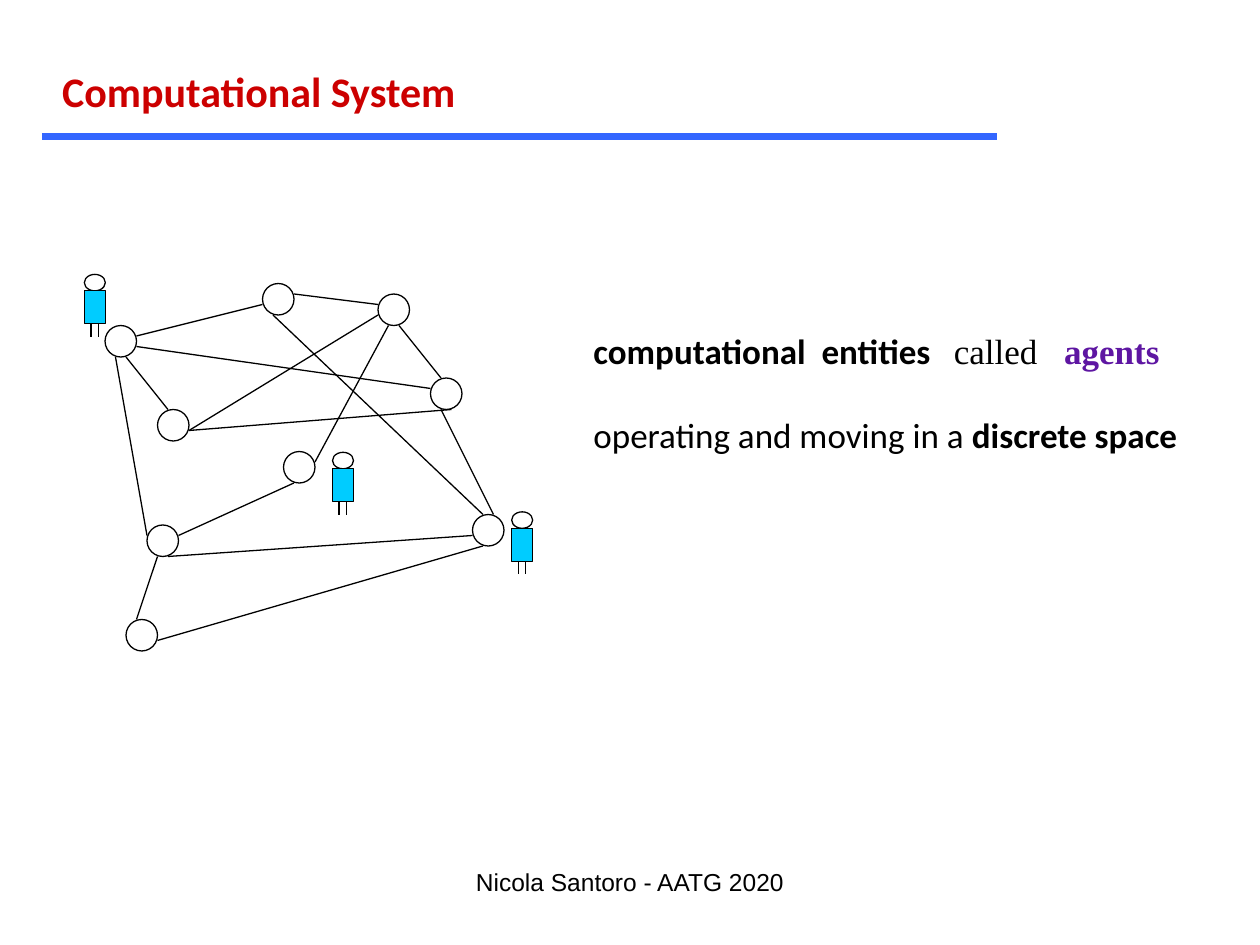
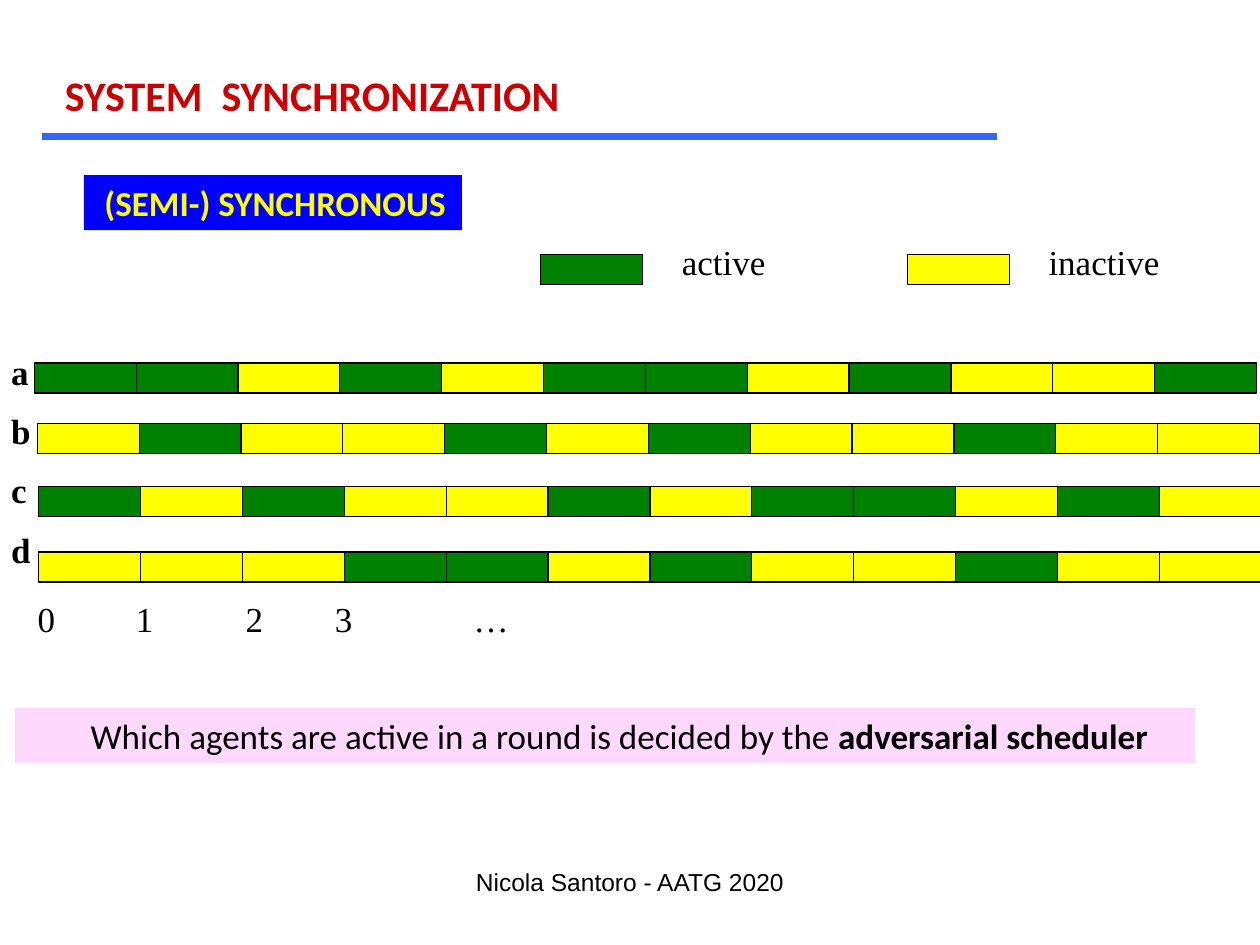
from pptx import Presentation
from pptx.dml.color import RGBColor as RGB
from pptx.enum.shapes import MSO_CONNECTOR as CONN, MSO_SHAPE as SHAPE
from pptx.enum.text import MSO_ANCHOR as ANCHOR, PP_ALIGN as ALIGN
from pptx.oxml.ns import qn
from pptx.util import Pt
from lxml.etree import SubElement

COLORS = {"black": "000000", "red": "CC0000", "rule": "3366FF", "agent": "00CCFF",
          "purple": "5E16A2", "active": "008000", "inactive": "FFFF00",
          "badge": "0000FF", "pink": "FFD8FE"}
SANS, SERIF = "Calibri", "Times New Roman"
UNIT = 6
NODES = [(10, 31), (25, 27), (41, 36), (15, 39), (27, 43), (36, 28), (14, 50), (45, 49), (12, 59)]
EDGES = [(13, 32, 25, 29), (12, 34, 16, 39), (13, 33, 41, 37), (38, 31, 42, 36),
         (26, 30, 46, 49), (17, 51, 28, 46), (11, 34, 14, 51), (18, 41, 36, 30),
         (28, 28, 36, 29), (16, 53, 45, 51), (18, 41, 43, 39), (42, 39, 47, 49),
         (37, 31, 30, 44), (15, 53, 13, 59), (15, 61, 46, 52)]
AGENTS = [(292.4, 292.5), (48.2, 156.8), (190, 258.5)]
CELL_W, CELL_H, CELL_STEP = 58.3, 17.3, 58.2
ROWS = [("a", 19.6, 207.4, "110101101001"), ("b", 21.3, 242, "010010100100"),
        ("c", 22.2, 277.9, "101001011010"), ("d", 22.2, 315.4, "000110100100")]
ROUNDS = [("0", 14.4), ("1", 70.6), ("2", 133.2), ("3", 184.3), ("…", 263.5)]


class Deck:
    """Hold the shared style and draw elements on the current slide."""

    def __init__(self):
        self.prs = Presentation()
        self.prs.slide_width, self.prs.slide_height = Pt(720), Pt(540)

    def slide(self, title, x, y):
        self.s = self.prs.slides.add_slide(self.prs.slide_layouts[6])
        self.text(246, 492, 228, 36, "Nicola Santoro - AATG 2020", 14, "Arial", align=ALIGN.CENTER)
        self.line(24, 78, 570, 78, "rule", 4)
        self.text(x, y, 302, 36, title, 24, SANS, "red", True)

    def line(self, x1, y1, x2, y2, color="black", width=0.75, parent=None):
        c = (parent or self.s).shapes.add_connector(CONN.STRAIGHT, Pt(x1), Pt(y1), Pt(x2), Pt(y2))
        c.line.color.rgb = RGB.from_string(COLORS[color])
        c.line.width = Pt(width)
        SubElement(c._element.spPr, qn("a:effectLst"))

    def shape(self, kind, x, y, w, h, fill=None, outline=True, parent=None):
        sp = (parent or self.s).shapes.add_shape(kind, Pt(x), Pt(y), Pt(w), Pt(h))
        sp.shadow.inherit = False
        if fill:
            sp.fill.solid()
            sp.fill.fore_color.rgb = RGB.from_string(COLORS[fill])
        else:
            sp.fill.background()
        if outline:
            sp.line.color.rgb = RGB.from_string(COLORS["black"])
            sp.line.width = Pt(0.75)
        else:
            sp.line.fill.background()
        return sp

    def font(self, target, size, name, color="black", bold=False):
        f = target.font
        f.size, f.name, f.bold = Pt(size), name, bold
        f.color.rgb = RGB.from_string(COLORS[color])

    def text(self, x, y, w, h, text, size=20, name=SERIF, color="black", bold=False, align=ALIGN.LEFT):
        tf = self.s.shapes.add_textbox(Pt(x), Pt(y), Pt(w), Pt(h)).text_frame
        tf.word_wrap = True
        p = tf.paragraphs[0]
        p.text, p.alignment = text, align
        self.font(p, size, name, color, bold)

    def runs(self, p, *parts):
        p.alignment = ALIGN.LEFT
        for text, *style in parts:
            r = p.add_run()
            r.text = text
            self.font(r, 20, *style)

    def tabs(self, p, *stops):
        tab_list = SubElement(p._p.get_or_add_pPr(), qn("a:tabLst"))
        for stop in stops:
            SubElement(tab_list, qn("a:tab"), pos=str(Pt(stop)), algn="l")

    def banner(self, x, y, w, fill, indent, *parts):
        sp = self.shape(SHAPE.RECTANGLE, x, y, w, 31.5, fill, outline=False)
        tf = sp.text_frame
        tf.word_wrap, tf.vertical_anchor = True, ANCHOR.MIDDLE
        tf.margin_left, tf.margin_right = Pt(indent), 0
        self.runs(tf.paragraphs[0], *parts)

    def agent(self, x, y):
        g = self.s.shapes.add_group_shape()
        self.shape(SHAPE.OVAL, x, y, 12, 9.4, parent=g)
        self.shape(SHAPE.RECTANGLE, x, y + 9.4, 12, 18.8, "agent", parent=g)
        for leg in (x + 3.8, x + 7.9):
            self.line(leg, y + 28.2, leg, y + 35.8, parent=g)

    def cell(self, x, y, state):
        self.shape(SHAPE.RECTANGLE, x, y, CELL_W, CELL_H, state)


def computational_system(d):
    d.slide("Computational System", 28.5, 34)
    for x, y in NODES:
        d.shape(SHAPE.OVAL, x * UNIT, y * UNIT, 3 * UNIT, 3 * UNIT)
    for edge in EDGES:
        d.line(*(v * UNIT for v in edge))
    for x, y in AGENTS:
        d.agent(x, y)
    tf = d.s.shapes.add_textbox(Pt(332), Pt(185), Pt(378), Pt(104.5)).text_frame
    tf.word_wrap = True
    p = tf.paragraphs[0]
    d.tabs(p, 206, 269)
    d.runs(p, ("computational  entities\t", SANS, "black", True), ("called\t", SERIF),
           ("agents", SERIF, "purple", True))
    p = tf.add_paragraph()
    p.space_before = Pt(24)
    d.runs(p, ("operating and moving in a ", SANS), ("discrete space", SANS, "black", True))


def system_synchronization(d):
    d.slide("SYSTEM  SYNCHRONIZATION", 30, 36)
    d.banner(48, 100, 216, "badge", 11.7, ("(SEMI-) SYNCHRONOUS", SANS, "inactive", True))
    for state, x in (("active", 308.9), ("inactive", 518.4)):
        d.cell(x, 145.4, state)
        d.text(x + 73.7, 134, 100, 31.5, state)
    for i, (name, x, y, states) in enumerate(ROWS):
        for j, bit in enumerate(states):
            d.cell(x + j * CELL_STEP, y, "active" if bit == "1" else "inactive")
        d.text(-0.7, 196.6 + i * 33.9, 30, 31.5, name, bold=True)
    for label, x in ROUNDS:
        d.text(x, 337.7, 40, 31.5, label)
    d.banner(8.6, 404.6, 674.6, "pink", 43.2,
             ("Which agents are active in a round is decided by the ", SANS),
             ("adversarial scheduler", SANS, "black", True))


def main():
    d = Deck()
    computational_system(d)
    system_synchronization(d)
    d.prs.save("out.pptx")


if __name__ == "__main__":
    main()
